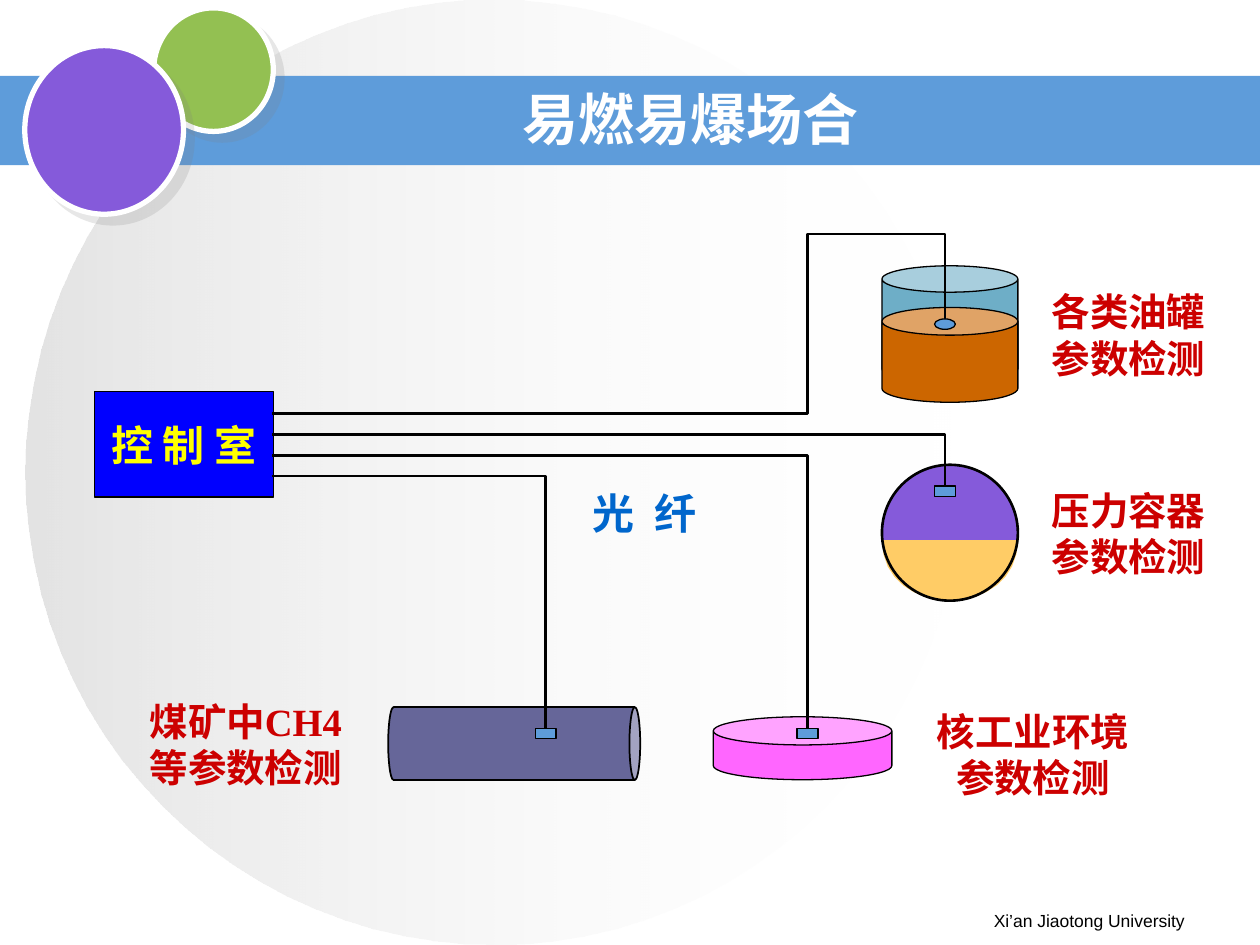
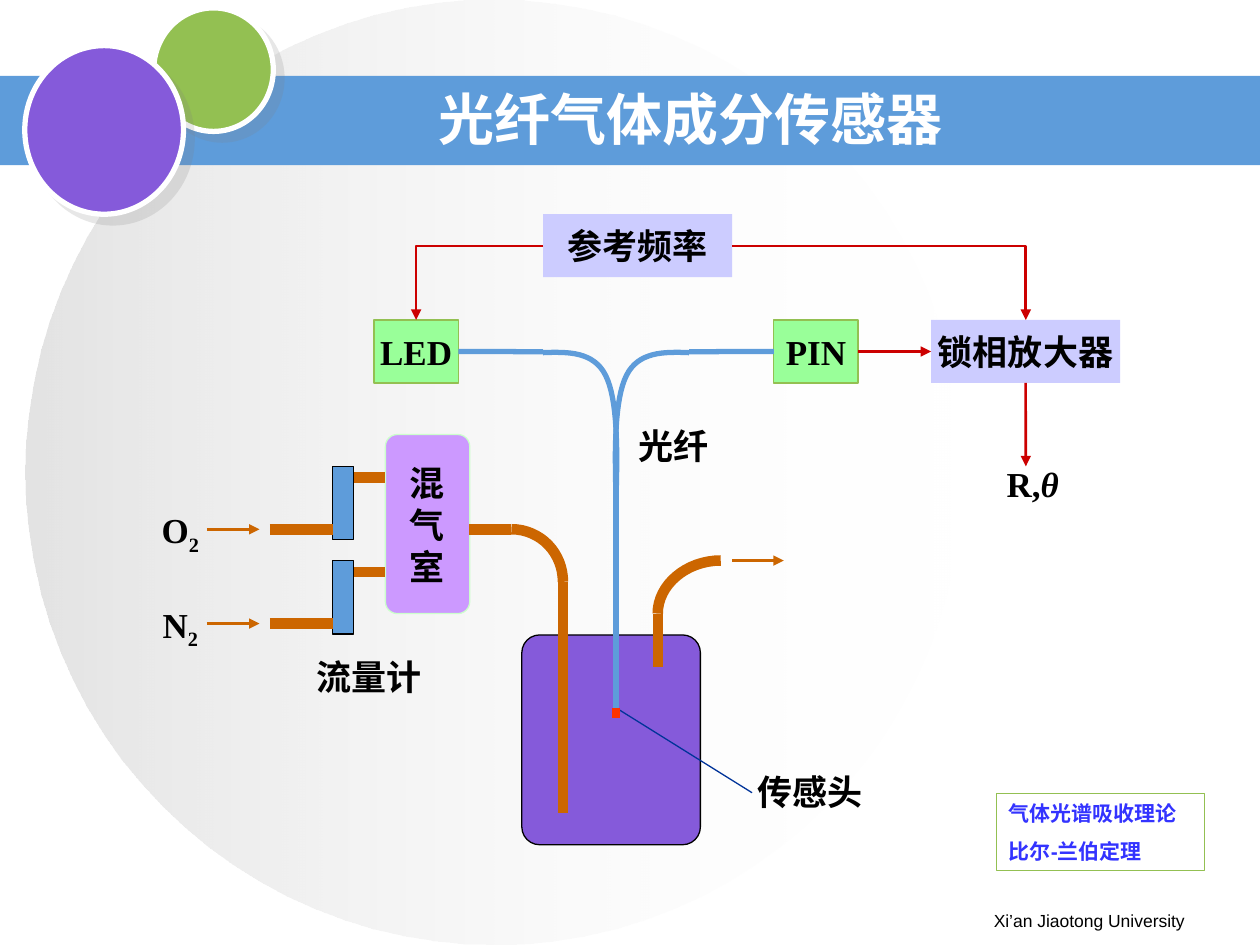
from dataclasses import dataclass
from typing import Any

from lxml import etree
from pptx import Presentation
from pptx.dml.color import RGBColor
from pptx.enum import shapes, text
from pptx.oxml.ns import qn
from pptx.util import Cm, Pt

BLACK = RGBColor(0x00, 0x00, 0x00)
WHITE = RGBColor(0xFF, 0xFF, 0xFF)
SILVER = RGBColor(0xC0, 0xC0, 0xC0)
SKY = RGBColor(0x5E, 0x9C, 0xDA)
GREEN = RGBColor(0x93, 0xC0, 0x52)
PURPLE = RGBColor(0x85, 0x5A, 0xDA)
BLUE = RGBColor(0x00, 0x00, 0xFF)
YELLOW = RGBColor(0xFF, 0xFF, 0x00)
FIBRE_BLUE = RGBColor(0x00, 0x66, 0xCC)
RED = RGBColor(0xCC, 0x00, 0x00)
ORANGE = RGBColor(0xCC, 0x66, 0x00)
SAND = RGBColor(0xFF, 0xCC, 0x66)
TEAL = RGBColor(0x6E, 0xAE, 0xC7)
PINK = RGBColor(0xFF, 0x66, 0xFF)
SLATE = RGBColor(0x66, 0x66, 0x99)
LILAC = RGBColor(0xCC, 0xCC, 0xFF)
LIME = RGBColor(0x99, 0xFF, 0x99)
VIOLET = RGBColor(0xCC, 0x99, 0xFF)
MINT = RGBColor(0xCC, 0xFF, 0xCC)
NAVY = RGBColor(0x00, 0x33, 0x99)
SCARLET = RGBColor(0xFF, 0x33, 0x00)
INK_BLUE = RGBColor(0x33, 0x33, 0xFF)

SANS, SERIF = "Arial", "Times New Roman"
KIND = shapes.MSO_SHAPE
ALIGN = text.PP_ALIGN
ANCHOR = text.MSO_ANCHOR


@dataclass
class Region:
    """A part of a page; positions inside it are in centimetres."""
    page: Any
    left: float = 0
    top: float = 0

    def point(self, x, y):
        return Cm(self.left + x), Cm(self.top + y)

    def box(self, x, y, width, height):
        return *self.point(x, y), Cm(width), Cm(height)


# Text
def write(para, words, size=20, color=BLACK, font=SERIF, bold=True,
          italic=False, align=ALIGN.CENTER, **marks):
    para.alignment = align
    span = para.add_run()
    span.text = words
    span.font.size, span.font.name = Pt(size), font
    span.font.bold, span.font.italic = bold, italic
    span.font.color.rgb = color
    for name, value in marks.items():
        span.font._element.set(name, str(value))


def fill_frame(frame, words, anchor=ANCHOR.MIDDLE, inset=(0, 0), wrap=True,
               before=0, **style):
    frame.word_wrap = wrap
    frame.vertical_anchor = anchor
    frame.margin_left = frame.margin_right = Cm(inset[0])
    frame.margin_top = frame.margin_bottom = Cm(inset[1])
    for number, line in enumerate(words.split("\n")):
        para = frame.add_paragraph() if number else frame.paragraphs[0]
        if number and before:
            para.space_before = Pt(before)
        write(para, line, **style)


def label(area, box, words, **style):
    note = area.page.shapes.add_textbox(*area.box(*box))
    fill_frame(note.text_frame, words, **style)
    return note.text_frame.paragraphs[0]


# Shapes and lines
def paint(item, fill=None, line=None, weight=0.75):
    item.shadow.inherit = False
    if fill is None:
        item.fill.background()
    else:
        item.fill.solid()
        item.fill.fore_color.rgb = fill
    if line is None:
        item.line.fill.background()
    else:
        item.line.color.rgb = line
        item.line.width = Pt(weight)


def block(area, kind, box, fill=None, line=None, weight=0.75, adjust=None,
          turn=0):
    item = area.page.shapes.add_shape(kind, *area.box(*box))
    paint(item, fill, line, weight)
    if adjust is not None:
        item.adjustments[0] = adjust
    item.rotation = turn
    return item


def add_arrowhead(item):
    outline = item.element.find(".//" + qn("a:ln"))
    etree.SubElement(outline, qn("a:tailEnd"), type="triangle")


def track(area, points, color, weight=1.5, arrow=False):
    start, *rest = [area.point(*point) for point in points]
    builder = area.page.shapes.build_freeform(*start)
    builder.add_line_segments(rest, close=False)
    item = builder.convert_to_shape()
    paint(item, None, color, weight)
    if arrow:
        add_arrowhead(item)


def straight(area, start, end, color, weight=1.5, arrow=False, begin=None):
    """Draw a line; begin is an optional (shape, side) to join."""
    item = area.page.shapes.add_connector(
        shapes.MSO_CONNECTOR.STRAIGHT, *area.point(*start), *area.point(*end))
    if begin:
        item.begin_connect(*begin)
    item.line.color.rgb = color
    item.line.width = Pt(weight)
    if arrow:
        add_arrowhead(item)
    etree.SubElement(item.element.find(qn("p:spPr")), qn("a:effectLst"))
    return item


def bend(a, b, c, d, steps=16):
    """Points along a cubic curve from a to d."""
    return [tuple(p * (1 - t) ** 3 + 3 * q * t * (1 - t) ** 2
                  + 3 * r * t ** 2 * (1 - t) + s * t ** 3
                  for p, q, r, s in zip(a, b, c, d))
            for t in (step / steps for step in range(steps + 1))]


# Shared look
def add_disc_shadow(disc):
    effects = disc.element.find(".//" + qn("a:effectLst"))
    shadow = etree.SubElement(effects, qn("a:outerShdw"), blurRad="0",
                              dist=str(Pt(7.1)), dir="2700000",
                              algn="ctr", rotWithShape="0")
    shade = etree.SubElement(shadow, qn("a:srgbClr"), val="808080")
    etree.SubElement(shade, qn("a:alpha"), val="19000")


def dress_layout(layout, page):
    """Draw the backdrop on a page, then hand it over to the layout."""
    for holder in list(layout.placeholders):
        if holder.placeholder_format.type != shapes.PP_PLACEHOLDER.TITLE:
            holder.element.getparent().remove(holder.element)
        else:
            holder.left, holder.top = Cm(5.57), Cm(1.7)
            holder.width, holder.height = Cm(16.71), Cm(1.35)

    area = Region(page)
    globe = block(area, KIND.OVAL, (0.51, 0, 18.9, 19.05))
    globe.fill.gradient()
    globe.fill.gradient_angle = 180
    for stop, color in zip(globe.fill.gradient_stops, (WHITE, SILVER)):
        stop.color.rgb = color
    for shade, alpha in zip(globe.element.iter(qn("a:srgbClr")), (0, 44000)):
        etree.SubElement(shade, qn("a:alpha"), val=str(alpha))

    band = block(area, KIND.RECTANGLE, (0, 1.53, 25.4, 1.8), SKY)
    discs = [block(area, KIND.OVAL, box, fill, WHITE, 3) for box, fill in (
        ((3.1, 0.16, 2.41, 2.49), GREEN), ((0.5, 0.92, 3.2, 3.4), PURPLE))]
    for disc in discs:
        add_disc_shadow(disc)
    for place, item in enumerate((globe, band, *discs), start=2):
        layout.shapes.element.insert(place, item.element)


def add_heading(page, words):
    frame = page.shapes.title.text_frame
    frame.auto_size = text.MSO_AUTO_SIZE.NONE
    fill_frame(frame, words, size=32, color=WHITE, font=SANS)
    label(Region(page), (18.21, 18.21, 5.92, 0.69), "Xi’an Jiaotong University",
          anchor=ANCHOR.TOP, inset=(0.25, 0.13), size=10, font=SANS,
          bold=False, align=ALIGN.RIGHT)


# Flammable and explosive sites
def draw_oil_tank(area):
    block(area, KIND.CAN, (0, 0, 2.74, 2.34), TEAL, BLACK, adjust=0.227)
    block(area, KIND.CAN, (0, 0.84, 2.74, 1.91), ORANGE, BLACK, adjust=0.292)


def draw_pressure_vessel(area):
    size, middle = 2.74, 1.52
    block(area, KIND.OVAL, (0, 0, size, size), PURPLE)
    curve = bend((0, middle), (0, 3.14), (size, 3.14), (size, middle))
    start, *rest = [area.point(*point) for point in curve]
    builder = area.page.shapes.build_freeform(*start)
    builder.add_line_segments(rest)
    paint(builder.convert_to_shape(), SAND)
    block(area, KIND.OVAL, (0, 0, size, size), None, BLACK, 1.5)


def draw_sites(area):
    room = block(area, KIND.RECTANGLE, (0, 3.18, 3.6, 2.12), BLUE, BLACK)
    fill_frame(room.text_frame, "控 制 室", size=24, color=YELLOW)
    draw_pressure_vessel(Region(area.page, area.left + 15.87, area.top + 4.65))
    draw_oil_tank(Region(area.page, area.left + 15.87, area.top + 0.64))
    block(area, KIND.CAN, (12.47, 9.73, 3.6, 1.27), PINK, BLACK, adjust=0.448)
    block(area, KIND.CAN, (7.72, 7.73, 1.47, 5.08), SLATE, BLACK, 1,
          adjust=0.148, turn=90)

    # Fibres leave the room at equal gaps and end at a sensor
    routes = (
        (KIND.OVAL, 14.37, [(14.37, 0), (17.14, 0), (17.14, 1.71)]),
        (KIND.RECTANGLE, 17.14, [(17.14, 5.08)]),
        (KIND.RECTANGLE, 14.37, [(14.37, 9.96)]),
        (KIND.RECTANGLE, 9.09, [(9.09, 9.96)]),
    )
    for number, (sensor, turn_x, rest) in enumerate(routes):
        exit_y = 3.62 + 0.42 * number
        track(area, [(3.58, exit_y), (turn_x, exit_y), *rest], BLACK)
        x, y = rest[-1]
        block(area, sensor, (x - 0.21, y, 0.42, 0.21), SKY, BLACK)

    label(area, (9.72, 4.88, 2.74, 1.47), "光 纤", size=24, color=FIBRE_BLUE,
          spc=300)
    for x, y, width, words in (
            (19.25, 1.07, 3.18, "各类油罐参数检测"),
            (19.25, 5.08, 3.18, "压力容器参数检测"),
            (16.91, 9.53, 4.01, "核工业环境参数检测"),
            (1.04, 9.33, 4.01, "煤矿中CH4等参数检测")):
        label(area, (x, y, width, 1.91), words, size=22, color=RED)


# Gas sensor: gas supply and chamber
def draw_gas_path(area):
    block(area, KIND.ROUNDED_RECTANGLE, (7.62, 4.04, 3.6, 4.23), PURPLE, BLACK,
          adjust=0.1)
    mixer = block(area, KIND.ROUNDED_RECTANGLE, (4.87, 0, 1.7, 3.61), VIOLET,
                  MINT, adjust=0.14)
    fill_frame(mixer.text_frame, "混\n气\n室", wrap=False, inset=(0.25, 0.13))

    for number, gas in enumerate("ON"):
        top = 0.64 + 1.9 * number
        inlet, outlet = top + 1.27, top + 0.23
        block(area, KIND.RECTANGLE, (3.81, top, 0.42, 1.48), SKY, BLACK)
        straight(area, (2.54, inlet), (3.81, inlet), ORANGE, 6)
        straight(area, (4.24, outlet), (4.87, outlet), ORANGE, 6)
        straight(area, (1.27, inlet), (2.33, inlet), ORANGE, arrow=True)
        para = label(area, (0, top + 0.86, 1.47, 1.07), gas, anchor=ANCHOR.TOP)
        write(para, "2", baseline=-25000)
    label(area, (3.37, 4.45, 2.34, 1.07), "流量计", anchor=ANCHOR.TOP)

    # Pipes into and out of the chamber
    straight(area, (7.41, 1.91), (6.55, 1.91), ORANGE, 6)
    track(area, bend((7.41, 1.91), (8, 1.91), (8.45, 2.39), (8.45, 2.97)),
          ORANGE, 6)
    straight(area, (8.45, 2.97), (8.45, 7.62), ORANGE, 6)
    track(area, bend((11.63, 2.54), (10.94, 2.54), (10.36, 3.03), (10.36, 3.61)),
          ORANGE, 6)
    straight(area, (10.36, 3.61), (10.36, 4.68), ORANGE, 6)
    straight(area, (11.86, 2.54), (12.9, 2.54), ORANGE, arrow=True)


# Gas sensor: light source, fibre and detection
def draw_optics(area):
    def station(x, y, width, fill, line, words):
        item = block(area, KIND.RECTANGLE, (x, y, width, 1.27), fill, line)
        fill_frame(item.text_frame, words)
        return item

    station(3.41, 0, 3.81, LILAC, None, "参考频率")
    led = station(0, 2.13, 1.7, LIME, GREEN, "LED")
    pin = station(8.06, 2.13, 1.7, LIME, GREEN, "PIN")
    amplifier = station(11.23, 2.13, 3.81, LILAC, None, "锁相放大器")

    link = straight(area, (9.76, 2.77), (11.23, 2.77), RED, arrow=True,
                    begin=(pin, 3))
    link.end_connect(amplifier, 1)
    straight(area, (13.14, 3.4), (13.14, 5.08), RED, arrow=True,
             begin=(amplifier, 2))
    for start_x, end_x in ((3.41, 0.85), (7.22, 13.14)):
        track(area, [(start_x, 0.64), (end_x, 0.64), (end_x, 2.13)], RED,
              arrow=True)

    # Two mirrored branches meet in the trunk
    axis = 4.88
    straight(area, (7.62, 11.66), (axis, 9.95), NAVY, 0.75)
    straight(area, (axis, 9.95), (axis, 10.16), SCARLET, 4.5)
    for side, joint in ((1, (pin, 1)), (-1, (led, 3))):
        knots = [(axis + side * x, y) for x, y in (
            (0, 5.71), (-0.03, 4.72), (-0.03, 3.73), (0.21, 3.25),
            (0.45, 2.77), (0.96, 2.77), (1.47, 2.79))]
        track(area, bend(*knots[:4]) + bend(*knots[3:])[1:], SKY, 3)
        end = (axis + side * 1.47, 2.77)
        straight(area, end, end, SKY, 3, begin=joint)
    straight(area, (axis, 5.51), (axis, 9.95), SKY, 3)

    label(area, (5.08, 4.24, 1.91, 0.84), "光纤", anchor=ANCHOR.TOP)
    label(area, (7.62, 11.22, 2.34, 1.07), "传感头", anchor=ANCHOR.TOP)
    result = label(area, (11.87, 4.88, 2.82, 1.07), "R,", anchor=ANCHOR.TOP,
                   inset=(0.25, 0.13))
    write(result, "θ", italic=True)


def draw_theory(area):
    panel = block(area, KIND.RECTANGLE, (0, 0, 4.19, 1.55), None, GREEN)
    fill_frame(panel.text_frame, "气体光谱吸收理论\n比尔-兰伯定理",
               anchor=ANCHOR.TOP, inset=(0.25, 0.13), before=7.5, size=12,
               color=INK_BLUE, font=SANS, align=ALIGN.LEFT)


def main():
    deck = Presentation()
    deck.slide_width, deck.slide_height = Cm(25.4), Cm(19.05)
    layout = deck.slide_layouts[5]

    sites = deck.slides.add_slide(layout)
    dress_layout(layout, sites)
    add_heading(sites, "易燃易爆场合")
    draw_sites(Region(sites, 1.91, 4.72))

    sensor = deck.slides.add_slide(layout)
    add_heading(sensor, "光纤气体成分传感器")
    draw_gas_path(Region(sensor, 2.9, 8.76))
    draw_optics(Region(sensor, 7.54, 4.32))
    draw_theory(Region(sensor, 20.09, 16))

    deck.save("out.pptx")


if __name__ == "__main__":
    main()
